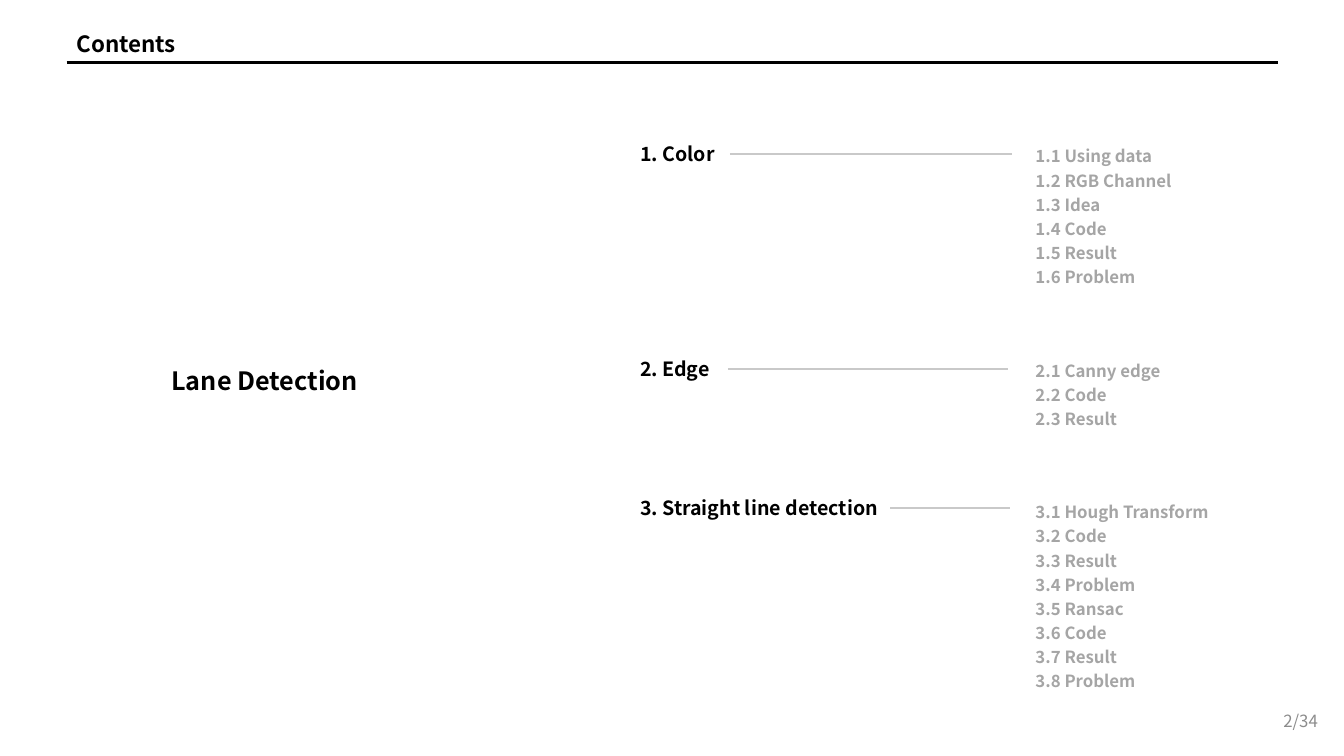
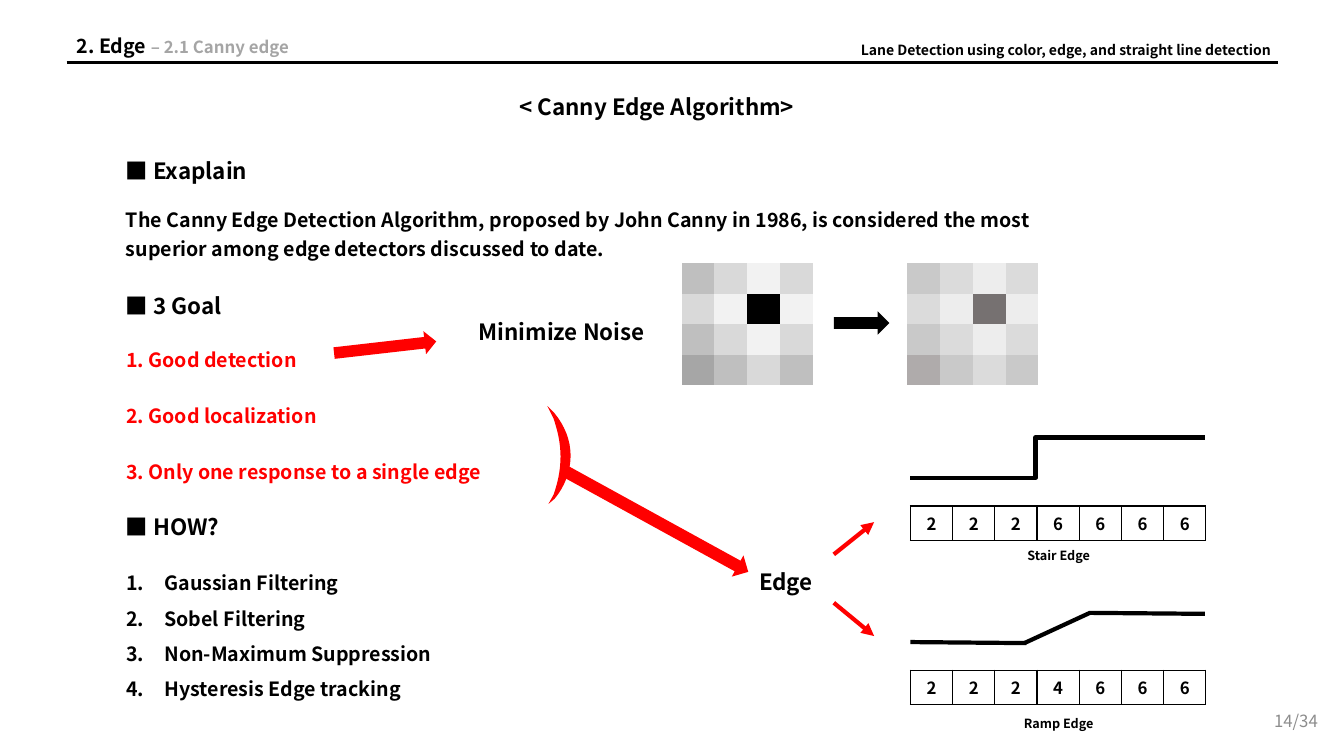
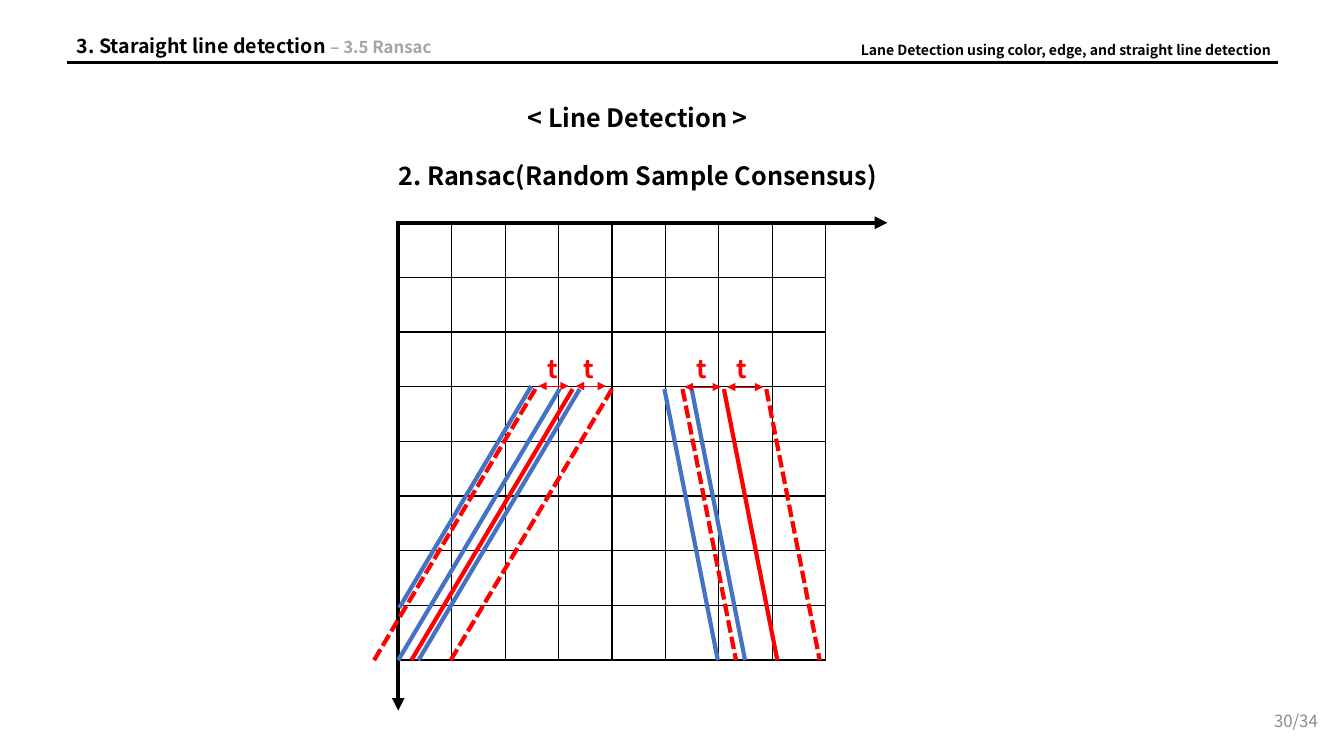
"""Build three lane detection slides: contents, Canny edge and Ransac."""
import lxml.etree
import pptx
import pptx.dml.color
import pptx.enum.dml
import pptx.enum.shapes
import pptx.enum.text
import pptx.oxml.ns
import pptx.util

Inches = pptx.util.Inches
Pt = pptx.util.Pt
RGB = pptx.dml.color.RGBColor
ALIGN = pptx.enum.text.PP_ALIGN
ANCHOR = pptx.enum.text.MSO_ANCHOR
SHAPE = pptx.enum.shapes.MSO_SHAPE
CONNECTOR = pptx.enum.shapes.MSO_CONNECTOR
qn = pptx.oxml.ns.qn

FONT = "Noto Sans CJK KR"
BLACK = RGB(0x00, 0x00, 0x00)
RED = RGB(0xFF, 0x00, 0x00)
BLUE = RGB(0x44, 0x72, 0xC4)
GREY = RGB(0xA5, 0xA5, 0xA5)
RULE_GREY = RGB(0xC9, 0xC9, 0xC9)
PAGE_GREY = RGB(0x8C, 0x8C, 0x8C)
NO_STYLE = "{2D5ABB26-0587-4C30-8999-92F81FD0307C}"

PAGES = 34
TALK = "Lane Detection using color, edge, and straight line detection"

SECTIONS = [
    ("1. Color", 1.36, 1.36, (7.24, 10.04),
     ["Using data", "RGB Channel", "Idea", "Code", "Result", "Problem"]),
    ("2. Edge", 3.49, 3.49, (7.22, 10), ["Canny edge", "Code", "Result"]),
    ("3. Straight line detection", 4.87, 4.89, (8.83, 10.02),
     ["Hough Transform", "Code", "Result", "Problem",
      "Ransac", "Code", "Result", "Problem"]),
]

HEADINGS = [("■ Exaplain", 1.51), ("■ 3 Goal", 2.85), ("■ HOW?", 5.04)]
EXPLANATION = ("The Canny Edge Detection Algorithm, proposed by John Canny in 1986, "
               "is considered the most superior among edge detectors discussed to date.")
GOALS = ["1. Good detection", "2. Good localization",
         "3. Only one response to a single edge"]
STEPS = ["Gaussian Filtering", "Sobel Filtering",
         "Non-Maximum Suppression", "Hysteresis Edge tracking"]
PROFILES = [("Stair Edge", 5.02, 5.39, "2226666"),
            ("Ramp Edge", 6.65, 7.05, "2224666")]
RAMP = [((9.03, 6.37), (10.18, 6.38)), ((10.16, 6.38), (10.81, 6.08)),
        ((10.8, 6.08), (11.95, 6.09))]
PIXELS = ["bcdc", "cded", "bcdc", "abcb"]
PIXELS[1] = "cd*d"
PATCHES = [
    (6.76, {"a": "A6A6A6", "b": "BFBFBF", "c": "D9D9D9", "d": "F2F2F2", "*": "000000"}),
    (9, {"a": "AFABAB", "b": "C9C9C9", "c": "DBDBDB", "d": "EDEDED", "*": "767171"}),
]
BLOCK_ARROWS = [((3.31, 3.33, 1.02, 0.23), 353.5, RED),
                ((5.46, 5.05, 2.09, 0.24), 28.8, RED),
                ((8.27, 3.09, 0.55, 0.23), 0, BLACK)]
BRACKET_CURVES = [
    [(5.5, 4.1), (5.6, 4.22), (5.66, 4.37), (5.66, 4.52)],
    [(5.66, 4.52), (5.66, 4.68), (5.6, 4.83), (5.5, 4.95)],
    [(5.44, 5), (5.44, 5), (5.49, 4.91), (5.49, 4.91)],
    [(5.49, 4.91), (5.53, 4.8), (5.56, 4.67), (5.56, 4.53)],
    [(5.56, 4.53), (5.56, 4.39), (5.53, 4.27), (5.49, 4.15)],
]

LANE_TOP, LANE_BOTTOM = 3.86, 6.55
LANES = [
    dict(shift=-1.6, samples=(5.55, 5.75), model=5.68, limits=(5.31, 6.07),
         spans=((5.34, 5.64), (5.71, 6.01)), span_y=3.83, labels=(5.33, 5.69)),
    dict(shift=0.53, samples=(6.59, 6.86), model=7.18, limits=(6.77, 7.6),
         spans=((6.79, 7.15), (7.21, 7.57)), span_y=3.84, labels=(6.81, 7.21)),
]


def write(sp, lines, at, size=14, color=BLACK, bold=True, align=ALIGN.LEFT,
          anchor=ANCHOR.TOP, spacing=1.0, gap=0, numbered=False):
    """Place a shape and fill it with lines, each a string or a list of runs."""
    sp.left, sp.top, sp.width, sp.height = map(Inches, at)
    tf = sp.text_frame
    tf.word_wrap = True
    tf.auto_size = pptx.enum.text.MSO_AUTO_SIZE.NONE
    tf.vertical_anchor = anchor
    for i, line in enumerate(lines):
        p = tf.paragraphs[0] if i == 0 else tf.add_paragraph()
        p.alignment = align
        p.line_spacing = spacing
        p.space_before = Pt(gap if i else 0)
        pPr = p._p.get_or_add_pPr()
        indent = Inches(0.38) if numbered else 0
        pPr.set("marL", str(indent))
        pPr.set("indent", str(-indent))
        if numbered:
            lxml.etree.SubElement(pPr, qn("a:buFont"), typeface="+mj-lt")
            lxml.etree.SubElement(pPr, qn("a:buAutoNum"), type="arabicPeriod")
        else:
            lxml.etree.SubElement(pPr, qn("a:buNone"))
        runs = [(line, size, color)] if isinstance(line, str) else line
        for text, run_size, run_color in runs:
            r = p.add_run()
            r.text = text
            r.font.name = FONT
            r.font.size = Pt(run_size)
            r.font.bold = bold
            r.font.color.rgb = run_color
            lxml.etree.SubElement(r._r.get_or_add_rPr(), qn("a:ea"), typeface=FONT)


def add_text(shapes, text, at, **style):
    """Add a one-paragraph text box."""
    write(shapes.add_textbox(0, 0, 0, 0), [text], at, **style)


def add_line(shapes, start, end, color=BLACK, width=3.0, dashed=False, arrows=(),
             kind=CONNECTOR.STRAIGHT):
    """Draw a connector, with arrowheads at the ends named in arrows."""
    line = shapes.add_connector(kind, *map(Inches, (*start, *end)))
    line.line.color.rgb = color
    line.line.width = Pt(width)
    if dashed:
        line.line.dash_style = pptx.enum.dml.MSO_LINE.SQUARE_DOT
    spPr = line._element.spPr
    for arrow in arrows:
        lxml.etree.SubElement(spPr.find(qn("a:ln")), qn(f"a:{arrow}"), type="triangle")
    lxml.etree.SubElement(spPr, qn("a:effectLst"))
    return line


def paint(sp, color):
    """Give a shape a flat fill without outline or shadow."""
    sp.shadow.inherit = False
    sp.fill.solid()
    sp.fill.fore_color.rgb = color
    sp.line.fill.background()


def add_grid(shapes, rows, at, palette=None, bordered=False):
    """Add a table whose cells hold text, or colours when a palette is given."""
    table = shapes.add_table(len(rows), len(rows[0]), *map(Inches, at)).table
    table.first_row = table.horz_banding = False
    table._tbl.tblPr.find(qn("a:tableStyleId")).text = NO_STYLE
    for column in table.columns:
        column.width = Inches(at[2] / len(rows[0]))
    for row, values in zip(table.rows, rows):
        row.height = Inches(at[3] / len(rows))
        for cell, value in zip(row.cells, values):
            cell.vertical_anchor = ANCHOR.MIDDLE
            p = cell.text_frame.paragraphs[0]
            if bordered:
                tcPr = cell._tc.get_or_add_tcPr()
                for side in ("lnL", "lnR", "lnT", "lnB"):
                    ln = lxml.etree.SubElement(tcPr, qn(f"a:{side}"), w=str(Pt(1)))
                    fill = lxml.etree.SubElement(ln, qn("a:solidFill"))
                    lxml.etree.SubElement(fill, qn("a:srgbClr"), val=str(BLACK))
            if palette:
                cell.fill.solid()
                cell.fill.fore_color.rgb = RGB.from_string(palette[value])
            else:
                cell.fill.background()
            if value and not palette:
                p.alignment = ALIGN.CENTER
                r = p.add_run()
                r.text = value
                r.font.name = FONT
                r.font.size = Pt(12)
                r.font.bold = True
                r.font.color.rgb = BLACK
            else:
                lxml.etree.SubElement(p._p, qn("a:endParaRPr"), sz="1200")


def add_slide(prs, layout, page, title, part=None):
    """Start a slide with its header, rule and page number."""
    s = prs.slides.add_slide(prs.slide_layouts.get_by_name(layout))
    add_line(s.shapes, (0.66, 0.62), (12.68, 0.62), width=1.5)
    if part:
        write(s.shapes.title, [[(title + " ", 14, BLACK), ("– " + part, 12, GREY)]],
              (0.66, 0.29, 5.11, 0.34))
        add_text(s.shapes, TALK, (8.44, 0.36, 4.6, 0.27), size=10)
    else:
        write(s.shapes.title, [title], (0.66, 0.25, 3.05, 0.37), size=16)
    add_text(s.shapes, f"{page}/{PAGES}", (10.17, 6.95, 3, 0.4), size=12, bold=False,
             color=PAGE_GREY, align=ALIGN.RIGHT, anchor=ANCHOR.MIDDLE)
    return s


def build_contents(prs):
    """Contents slide."""
    s = add_slide(prs, "Comparison", 2, "Contents")
    write(s.placeholders[1], ["Lane Detection"], (1.6, 3.57, 3.52, 0.4), size=18)
    for number, (heading, top, list_top, (x1, x2), items) in enumerate(SECTIONS, 1):
        add_text(s.shapes, heading, (6.25, top, 3.72, 0.34))
        add_line(s.shapes, (x1, top + 0.17), (x2, top + 0.17), RULE_GREY, 1.5)
        lines = [f"{number}.{i} {item}" for i, item in enumerate(items, 1)]
        write(s.placeholders[number + 1], lines,
              (10.17, list_top, 3.07, 0.1 + 0.24 * len(items)),
              size=12, color=GREY, spacing=1.2)


def add_bracket(shapes):
    """Draw the crescent that joins the last two goals."""
    points = []
    for curve in BRACKET_CURVES:
        for step in range(9):
            t = step / 8
            weights = ((1 - t) ** 3, 3 * t * (1 - t) ** 2, 3 * t * t * (1 - t), t ** 3)
            points.append(tuple(Inches(sum(w * q[axis] for w, q in zip(weights, curve)))
                                for axis in (0, 1)))
    outline = shapes.build_freeform(Inches(5.43), Inches(4.03))
    outline.add_line_segments(points, close=True)
    paint(outline.convert_to_shape(), RED)


def build_canny(prs):
    """Canny edge slide."""
    s = add_slide(prs, "Two Content", 14, "2. Edge", "2.1 Canny edge")
    shapes = s.shapes
    add_text(shapes, "< Canny Edge Algorithm>", (2.99, 0.87, 7.05, 0.37),
             size=16, align=ALIGN.CENTER)
    for heading, top in HEADINGS:
        add_text(shapes, heading, (1.15, top, 3.75, 0.37), size=16)
    add_text(shapes, EXPLANATION, (1.15, 1.97, 9.82, 0.64), spacing=1.2)
    write(s.placeholders[1], GOALS, (1.15, 3.35, 6.67, 1.51),
          color=RED, spacing=1.2, gap=20)
    write(s.placeholders[2], STEPS, (1.15, 5.5, 4.04, 1.51), spacing=1.5, numbered=True)
    for label, at in (("Minimize Noise", (4.28, 3.11, 2.58, 0.37)),
                      ("Edge", (7.35, 5.59, 0.89, 0.37))):
        add_text(shapes, label, at, size=16, align=ALIGN.CENTER)
    for left, palette in PATCHES:
        add_grid(shapes, PIXELS, (left, 2.61, 1.3, 1.2), palette)
    add_bracket(shapes)
    for at, angle, color in BLOCK_ARROWS:
        arrow = shapes.add_shape(SHAPE.RIGHT_ARROW, *map(Inches, at))
        arrow.rotation = angle
        paint(arrow, color)
    for start, end in (((8.27, 5.5), (8.67, 5.18)), ((8.27, 5.98), (8.67, 6.31))):
        add_line(shapes, start, end, RED, arrows=["tailEnd"])
    stair = add_line(shapes, (9.03, 4.74), (11.95, 4.34), kind=CONNECTOR.ELBOW)
    guides = stair._element.spPr.find(qn("a:prstGeom")).get_or_add_avLst()
    lxml.etree.SubElement(guides, qn("a:gd"), name="adj1", fmla="val 42500")
    ramp = shapes.add_group_shape()
    for start, end in RAMP:
        add_line(ramp.shapes, start, end)
    for label, top, label_top, values in PROFILES:
        add_grid(shapes, [values], (9.03, top, 2.93, 0.3), bordered=True)
        add_text(shapes, label, (9.65, label_top, 1.7, 0.25), size=9, align=ALIGN.CENTER)


def build_ransac(prs):
    """Ransac slide."""
    s = add_slide(prs, "Title Only", 30, "3. Staraight line detection", "3.5 Ransac")
    shapes = s.shapes
    for text, at in (("< Line Detection >", (2.8, 0.97, 7.05, 0.4)),
                     ("2. Ransac(Random Sample Consensus)", (3.54, 1.54, 5.57, 0.4))):
        add_text(shapes, text, at, size=18, align=ALIGN.CENTER)
    add_grid(shapes, [[""] * 8] * 8, (3.95, 2.21, 4.24, 4.34), bordered=True)
    for start, end in (((3.93, 2.21), (8.8, 2.21)), ((3.95, 2.21), (3.95, 7.05))):
        add_line(shapes, start, end, arrows=["tailEnd"])
    add_line(shapes, (5.27, 3.83), (3.96, 6.03), BLUE)

    def add_lane(target, x, shift, color, dashed=False):
        add_line(target, (x, LANE_TOP), (x + shift, LANE_BOTTOM), color, dashed=dashed)

    for lane in LANES:
        shift = lane["shift"]
        for x in lane["samples"]:
            add_lane(shapes, x, shift, BLUE)
        group = shapes.add_group_shape().shapes
        add_lane(group, lane["model"], shift, RED)
        for x in lane["limits"]:
            add_lane(group, x, shift, RED, dashed=True)
        for (x1, x2), label_x in zip(lane["spans"], lane["labels"]):
            add_line(group, (x1, lane["span_y"]), (x2, lane["span_y"]), RED, 0.5,
                     arrows=["headEnd", "tailEnd"])
            add_text(group, "t", (label_x, 3.46, 0.38, 0.4), size=18, color=RED)


def main():
    """Build and save the slides."""
    prs = pptx.Presentation()
    prs.slide_width, prs.slide_height = Inches(13.33), Inches(7.5)
    build_contents(prs)
    build_canny(prs)
    build_ransac(prs)
    prs.save("out.pptx")


if __name__ == "__main__":
    main()
